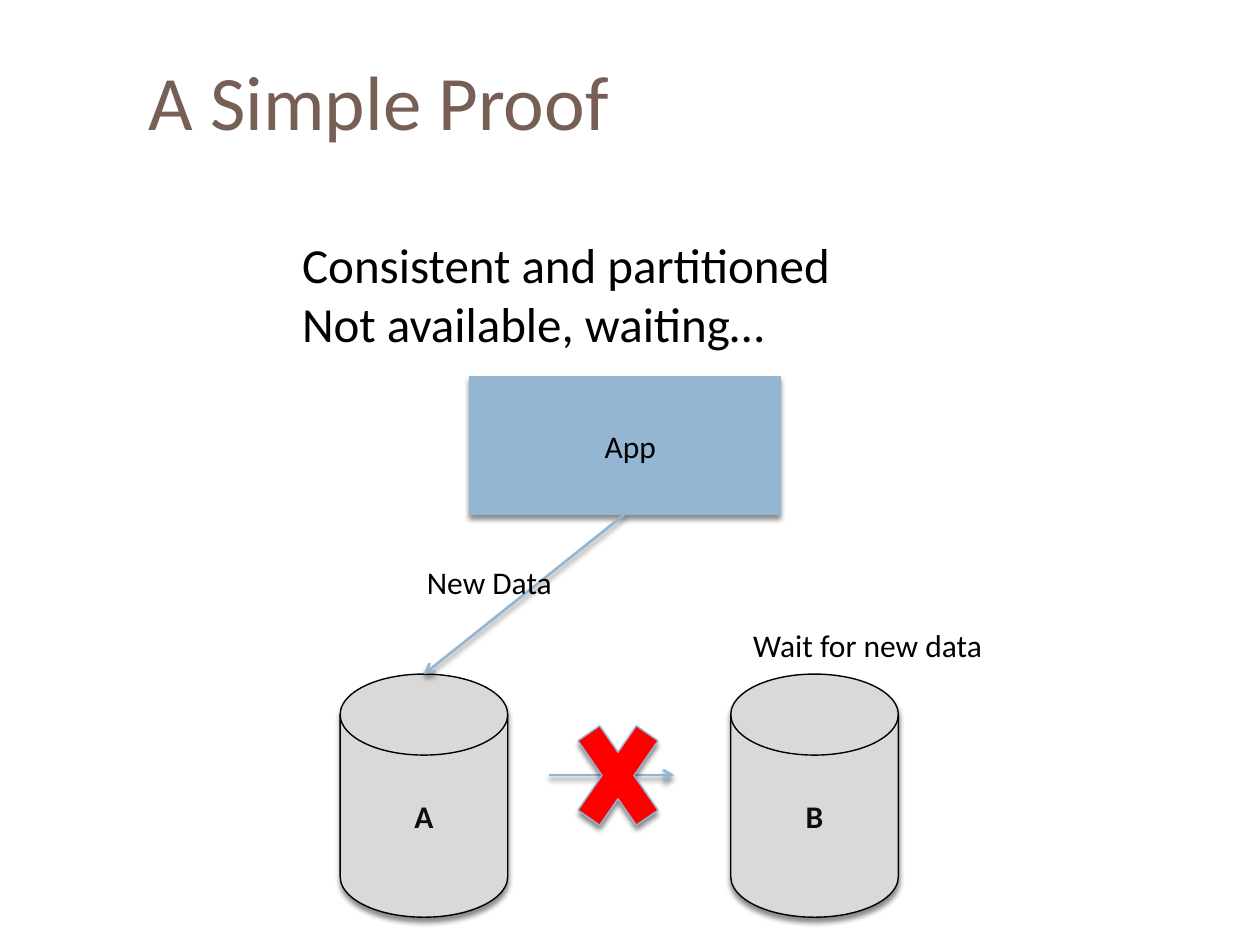
from dataclasses import dataclass

from lxml import etree
from pptx import Presentation
from pptx.dml.color import RGBColor
from pptx.enum.shapes import MSO_CONNECTOR, MSO_SHAPE
from pptx.enum.text import MSO_ANCHOR, MSO_AUTO_SIZE, PP_ALIGN
from pptx.oxml.ns import qn
from pptx.util import Inches, Pt

RECT = MSO_SHAPE.RECTANGLE
DISK = MSO_SHAPE.FLOWCHART_MAGNETIC_DISK
CROSS = MSO_SHAPE.MATH_MULTIPLY
STRAIGHT = MSO_CONNECTOR.STRAIGHT
LEFT, CENTER = PP_ALIGN.LEFT, PP_ALIGN.CENTER
MIDDLE = MSO_ANCHOR.MIDDLE
FIT = MSO_AUTO_SIZE.SHAPE_TO_FIT_TEXT
BOTTOM = 2


@dataclass(frozen=True)
class Theme:
    font: str = "Calibri"
    title: str = "775F55"
    text: str = "000000"
    label: str = "0D0D0D"
    blue: str = "94B6D2"
    gray: str = "D9D9D9"
    red: str = "FF0000"
    big: int = 44
    mid: int = 28
    small: int = 18
    edge: float = 0.79
    rule: float = 1.5


THEME = Theme()


def rgb(code):
    return RGBColor.from_string(code)


def write(frame, text, size=THEME.small, color=THEME.text, bold=False, align=LEFT):
    frame.text = text
    for para in frame.paragraphs:
        para.alignment = align
        font = para.font
        font.name, font.size, font.bold = THEME.font, Pt(size), bold
        font.color.rgb = rgb(color)


def shade(props):
    """Give shape properties a soft shadow straight below."""
    for old in props.findall(qn("a:effectLst")):
        props.remove(old)
    effects = etree.SubElement(props, qn("a:effectLst"))
    drop = etree.SubElement(effects, qn("a:outerShdw"), blurRad=str(Pt(3)),
                            dist=str(Pt(2.4)), dir="5400000", rotWithShape="0")
    tint = etree.SubElement(drop, qn("a:srgbClr"), val="000000")
    etree.SubElement(tint, qn("a:alpha"), val="45000")


def add_form(slide, kind, box, fill, line=THEME.blue):
    form = slide.shapes.add_shape(kind, *map(Inches, box))
    form.fill.solid()
    form.fill.fore_color.rgb = rgb(fill)
    form.line.color.rgb = rgb(line)
    form.line.width = Pt(THEME.edge)
    shade(form.element.spPr)
    return form


def add_disk(slide, name, box):
    disk = add_form(slide, DISK, box, THEME.gray, THEME.text)
    disk.text_frame.vertical_anchor = MIDDLE
    write(disk.text_frame, name, color=THEME.label, bold=True, align=CENTER)


def add_arrow(slide, start, end, source=None):
    arrow = slide.shapes.add_connector(STRAIGHT, *map(Inches, start + end))
    if source is not None:
        arrow.begin_connect(source, BOTTOM)
    arrow.line.color.rgb = rgb(THEME.blue)
    arrow.line.width = Pt(THEME.rule)
    etree.SubElement(arrow.line._get_or_add_ln(), qn("a:tailEnd"), type="arrow")
    shade(arrow.element.spPr)


def add_note(slide, text, box, **style):
    frame = slide.shapes.add_textbox(*map(Inches, box)).text_frame
    frame.word_wrap = False
    frame.auto_size = FIT
    write(frame, text, **style)


def add_title(slide, text, box):
    title = slide.shapes.title
    title.left, title.top, title.width, title.height = map(Inches, box)
    title.text_frame.vertical_anchor = MIDDLE
    write(title.text_frame, text, size=THEME.big, color=THEME.title)


def main():
    deck = Presentation()
    deck.slide_width, deck.slide_height = Inches(10), Inches(7.5)
    slide = deck.slides.add_slide(deck.slide_layouts[5])
    add_title(slide, "A Simple Proof", (1.08, 0.25, 8.92, 1.08))

    left, top, wide, high, step = 2.7, 5.35, 1.33, 1.93, 3.1
    for col, name in enumerate("AB"):
        add_disk(slide, name, (left + col * step, top, wide, high))

    app = add_form(slide, RECT, (3.73, 2.99, 2.46, 1.09), THEME.blue)
    add_arrow(slide, (4.96, 4.08), (left + wide / 2, top), source=app)
    add_note(slide, "New Data", (3.29, 4.42, 1.31, 0.4))
    add_note(slide, "Wait for new data", (5.88, 4.92, 2.16, 0.4))

    add_arrow(slide, (4.36, 6.15), (5.35, 6.15))
    add_form(slide, CROSS, (4.46, 5.51, 0.89, 1.29), THEME.red)
    add_note(slide, "Consistent and partitioned\nNot available, waiting…",
             (2.3, 1.81, 4.77, 1.04), size=THEME.mid)
    add_note(slide, "App", (4.7, 3.34, 0.65, 0.4))
    deck.save("out.pptx")


if __name__ == "__main__":
    main()
